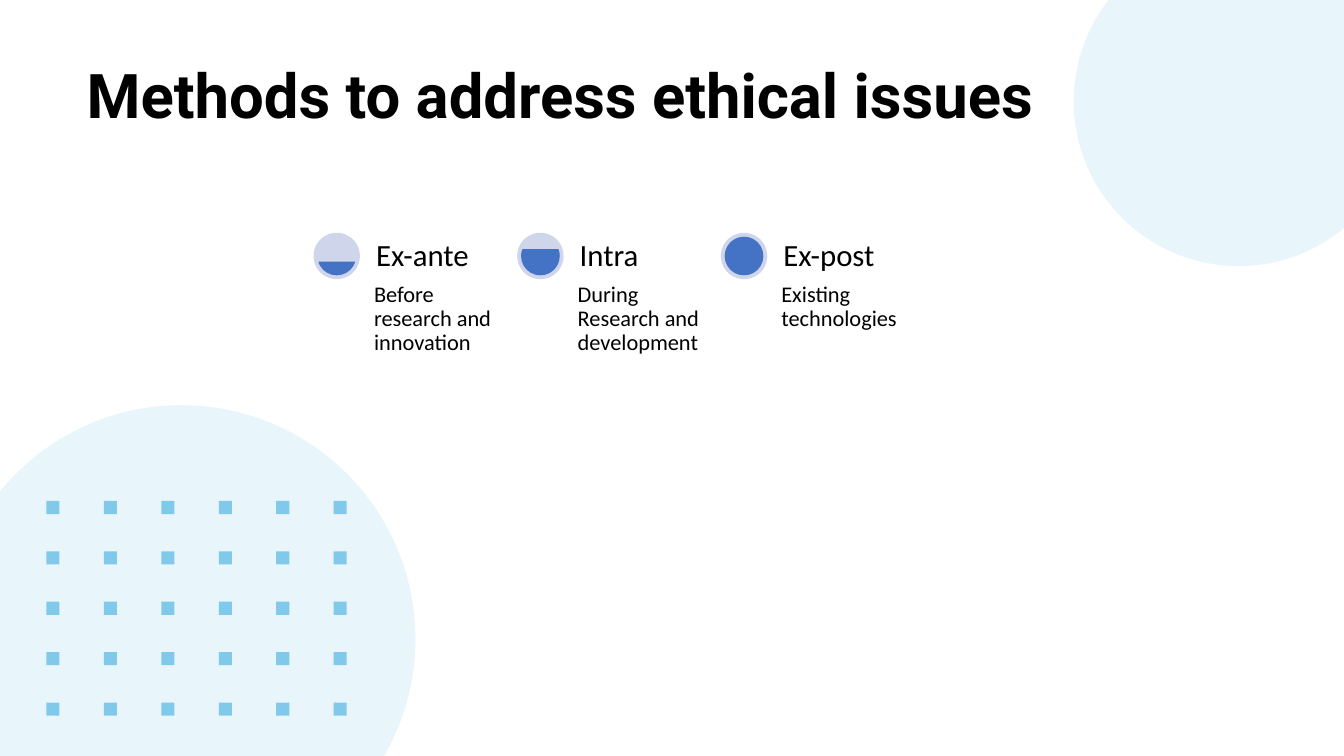
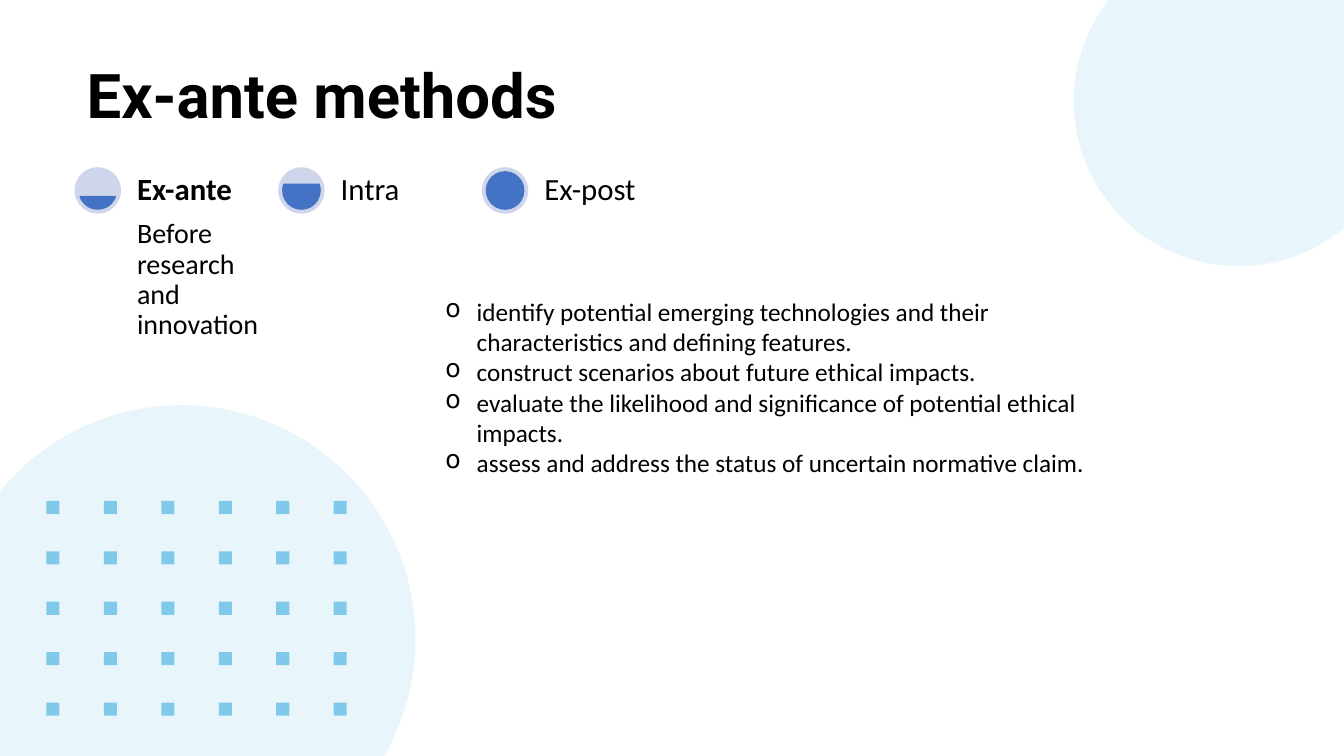
"""Build two slides on methods to address ethical issues in research and innovation."""
from dataclasses import dataclass

from lxml import etree
from pptx import Presentation
from pptx.dml.color import RGBColor
from pptx.enum.shapes import MSO_SHAPE
from pptx.enum.text import MSO_ANCHOR, MSO_AUTO_SIZE, PP_ALIGN
from pptx.oxml.ns import qn
from pptx.util import Inches, Pt

BLACK = RGBColor(0x00, 0x00, 0x00)
PALE_BLUE = RGBColor(0xCD, 0xEB, 0xF7)
DOT_BLUE = RGBColor(0x16, 0x9D, 0xD9)
RING = RGBColor(0xCF, 0xD5, 0xEA)
LEVEL = RGBColor(0x44, 0x72, 0xC4)

ELLIPSE, RECT, CHORD = MSO_SHAPE.OVAL, MSO_SHAPE.RECTANGLE, MSO_SHAPE.CHORD
TOP, MIDDLE, BOTTOM = MSO_ANCHOR.TOP, MSO_ANCHOR.MIDDLE, MSO_ANCHOR.BOTTOM
LEFT = PP_ALIGN.LEFT
NO_AUTOFIT = MSO_AUTO_SIZE.NONE

TITLE_FONT, BODY_FONT = "Roboto", "Calibri"
DOT_COLS, DOT_ROWS = 6, 5
DOT_LEFT, DOT_TOP, DOT_SIZE = 0.46, 4.97, 0.13
DOT_STEP_X, DOT_STEP_Y = 0.57, 0.5
STAGE_STEP, RING_SIZE, LEVEL_SIZE = 2.02, 0.46, 0.37
LABEL_OFFSET, LABEL_WIDTH, DETAIL_HEIGHT = 0.56, 1.37, 1.95


@dataclass(frozen=True)
class Stage:
    """A research stage with its fill level and optional detail."""

    name: str
    angles: tuple[float, float]
    detail: str = ""
    bold: bool = False


@dataclass(frozen=True)
class StageRow:
    """The place and text style of a row of stages."""

    left: float
    top: float
    detail_size: int
    detail_inset: float


EX_ANTE, INTRA, EX_POST = (11.683, 96.317), (204.317, 119.683), (162, 162)
OVERVIEW = (
    Stage("Ex-ante", EX_ANTE, "Before research and innovation"),
    Stage("Intra", INTRA, "During Research and development"),
    Stage("Ex-post", EX_POST, "Existing technologies"),
)
EX_ANTE_FOCUS = (
    Stage("Ex-ante", EX_ANTE, "Before research and innovation", True),
    Stage("Intra", INTRA),
    Stage("Ex-post", EX_POST),
)
EX_ANTE_STEPS = (
    "identify potential emerging technologies and their characteristics and defining features.",
    "construct scenarios about future ethical impacts.",
    "evaluate the likelihood and significance of potential ethical impacts.",
    "assess and address the status of uncertain normative claim.",
)


def add_shape(shapes, kind, left: float, top: float, size: float, color: RGBColor, alpha: int = 100):
    """Add a square-framed shape without line or shadow."""
    sp = shapes.add_shape(kind, Inches(left), Inches(top), Inches(size), Inches(size))
    sp.shadow.inherit = False
    sp.fill.solid()
    sp.fill.fore_color.rgb = color
    sp.line.fill.background()
    if alpha < 100:
        clr = next(sp.element.spPr.iter(qn("a:srgbClr")))
        etree.SubElement(clr, qn("a:alpha")).set("val", str(alpha * 1000))
    return sp


def add_run(p, text: str, size: int, font: str = BODY_FONT, bold: bool = False) -> None:
    """Add a black run to a paragraph."""
    r = p.add_run()
    r.text = text
    r.font.name = font
    r.font.size = Pt(size)
    r.font.bold = bold
    r.font.color.rgb = BLACK


def add_text_frame(slide, left: float, top: float, width: float, height: float):
    """Add a wrapping text box and return its frame."""
    s = slide.shapes.add_textbox(Inches(left), Inches(top), Inches(width), Inches(height))
    tf = s.text_frame
    tf.word_wrap = True
    return tf


def add_label(slide, left: float, top: float, height: float, text: str, size: int,
              inset: float, anchor=TOP, bold: bool = False) -> None:
    """Add one stage text."""
    tf = add_text_frame(slide, left, top, LABEL_WIDTH, height)
    tf.margin_left = tf.margin_right = tf.margin_top = tf.margin_bottom = Inches(inset)
    tf.vertical_anchor = anchor
    p = tf.paragraphs[0]
    p.line_spacing = 0.9
    add_run(p, text, size, bold=bold)


def add_stages(slide, row: StageRow, stages: tuple[Stage, ...]) -> None:
    """Draw a row of stages with fill-level icons."""
    gap = (RING_SIZE - LEVEL_SIZE) / 2
    for i, stage in enumerate(stages):
        left = row.left + i * STAGE_STEP
        add_shape(slide.shapes, ELLIPSE, left, row.top, RING_SIZE, RING)
        sp = add_shape(slide.shapes, CHORD, left + gap, row.top + gap, LEVEL_SIZE, LEVEL)
        sp.adjustments[0], sp.adjustments[1] = stage.angles
        sp.line.color.rgb = LEVEL
        sp.line.width = Pt(1)
        text_left = left + LABEL_OFFSET
        if stage.detail:
            add_label(slide, text_left, row.top + RING_SIZE, DETAIL_HEIGHT, stage.detail,
                      row.detail_size, row.detail_inset)
        add_label(slide, text_left, row.top, RING_SIZE, stage.name, 22, 0.06, BOTTOM, stage.bold)


def add_bullets(slide, items: tuple[str, ...]) -> None:
    """Add the bulleted list of steps."""
    tf = add_text_frame(slide, 3.82, 2.89, 7.29, 1.92)
    for i, item in enumerate(items):
        p = tf.add_paragraph() if i else tf.paragraphs[0]
        p.level = 1
        pPr = p._p.get_or_add_pPr()
        pPr.set("marL", str(Inches(0.81)))
        pPr.set("indent", str(Inches(-0.31)))
        etree.SubElement(pPr, qn("a:buChar")).set("char", "o")
        add_run(p, item, 18)


def decorate_layout(layout, slide) -> None:
    """Give the layout its circles and dot grid."""
    for ph in list(layout.placeholders):
        if ph.placeholder_format.idx:
            ph.element.getparent().remove(ph.element)
    group = slide.shapes.add_group_shape()
    for left, top, size in ((-0.52, 4.02, 4.64), (10.65, -0.63, 3.27)):
        add_shape(group.shapes, ELLIPSE, left, top, size, PALE_BLUE, 46)
    for row in range(DOT_ROWS):
        for col in range(DOT_COLS):
            add_shape(group.shapes, RECT, DOT_LEFT + col * DOT_STEP_X,
                      DOT_TOP + row * DOT_STEP_Y, DOT_SIZE, DOT_BLUE, 49)
    layout.shapes.element.append(group.element)


def add_slide(prs, layout, title: str):
    """Add a slide with its formatted title."""
    slide = prs.slides.add_slide(layout)
    s = slide.shapes.title
    s.left, s.top, s.width, s.height = Inches(0.76), Inches(0.55), Inches(11.5), Inches(0.86)
    tf = s.text_frame
    tf.word_wrap = True
    tf.auto_size = NO_AUTOFIT
    tf.vertical_anchor = MIDDLE
    p = tf.paragraphs[0]
    p.alignment = LEFT
    p.line_spacing = 0.9
    add_run(p, title, 44, TITLE_FONT, True)
    return slide


def main() -> None:
    """Build and save the presentation."""
    prs = Presentation()
    prs.slide_width, prs.slide_height = Inches(13.33), Inches(7.5)
    layout = prs.slide_layouts.get_by_name("Title Only")

    slide = add_slide(prs, layout, "Methods to address ethical issues")
    decorate_layout(layout, slide)
    add_stages(slide, StageRow(3.11, 2.31, 16, 0.04), OVERVIEW)

    slide = add_slide(prs, layout, "Ex-ante methods")
    add_stages(slide, StageRow(0.74, 1.66, 20, 0.06), EX_ANTE_FOCUS)
    add_bullets(slide, EX_ANTE_STEPS)

    prs.save("out.pptx")


if __name__ == "__main__":
    main()
